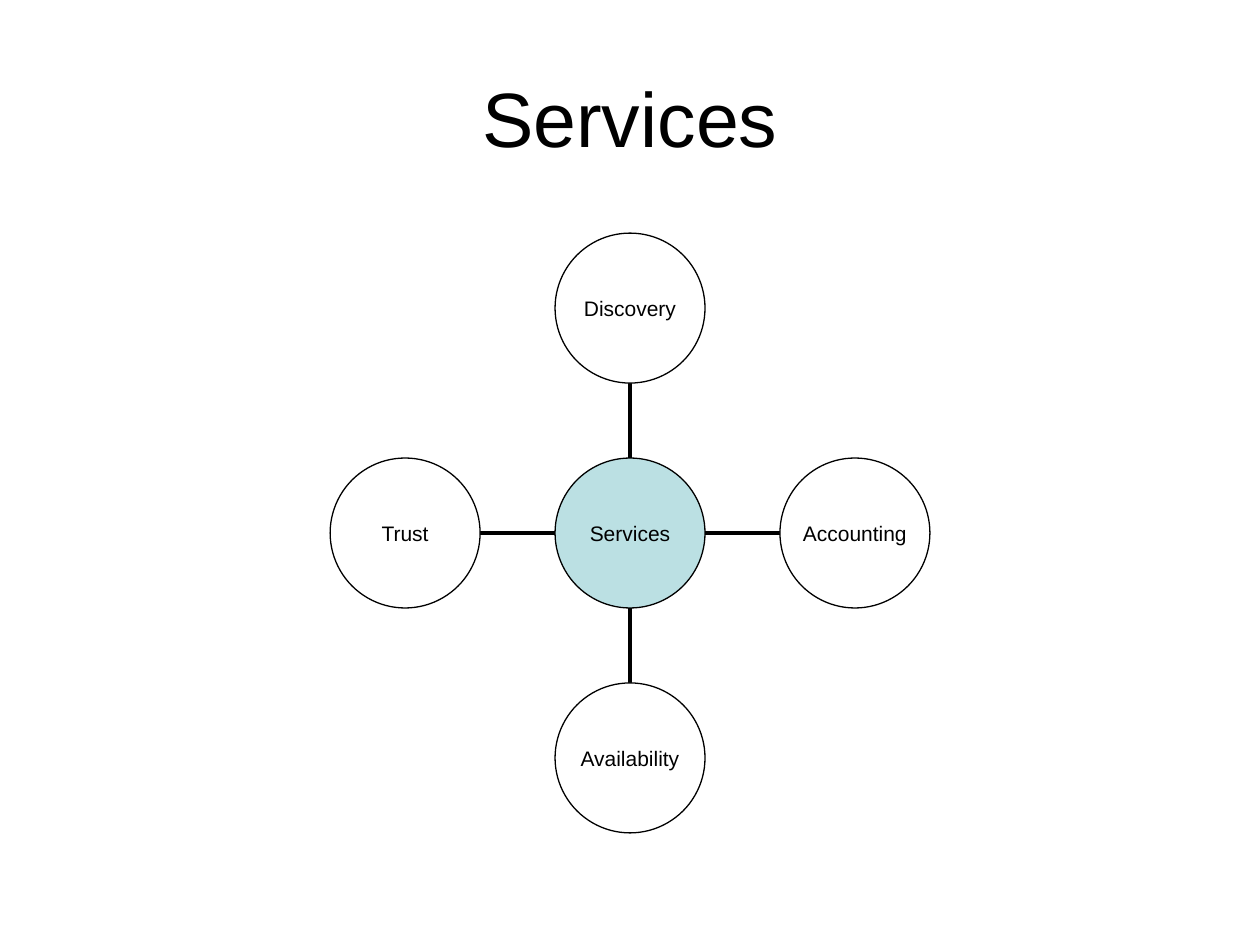
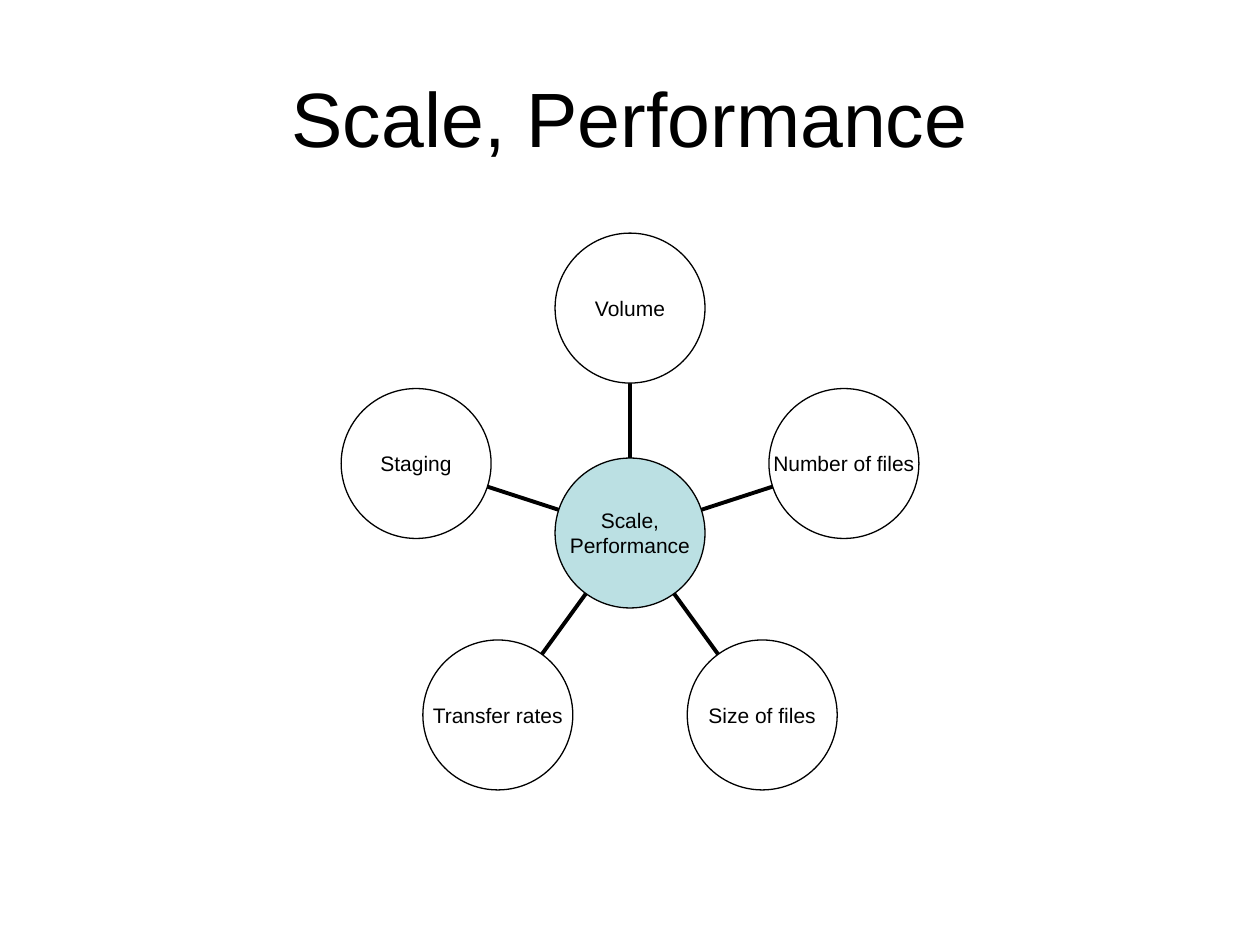
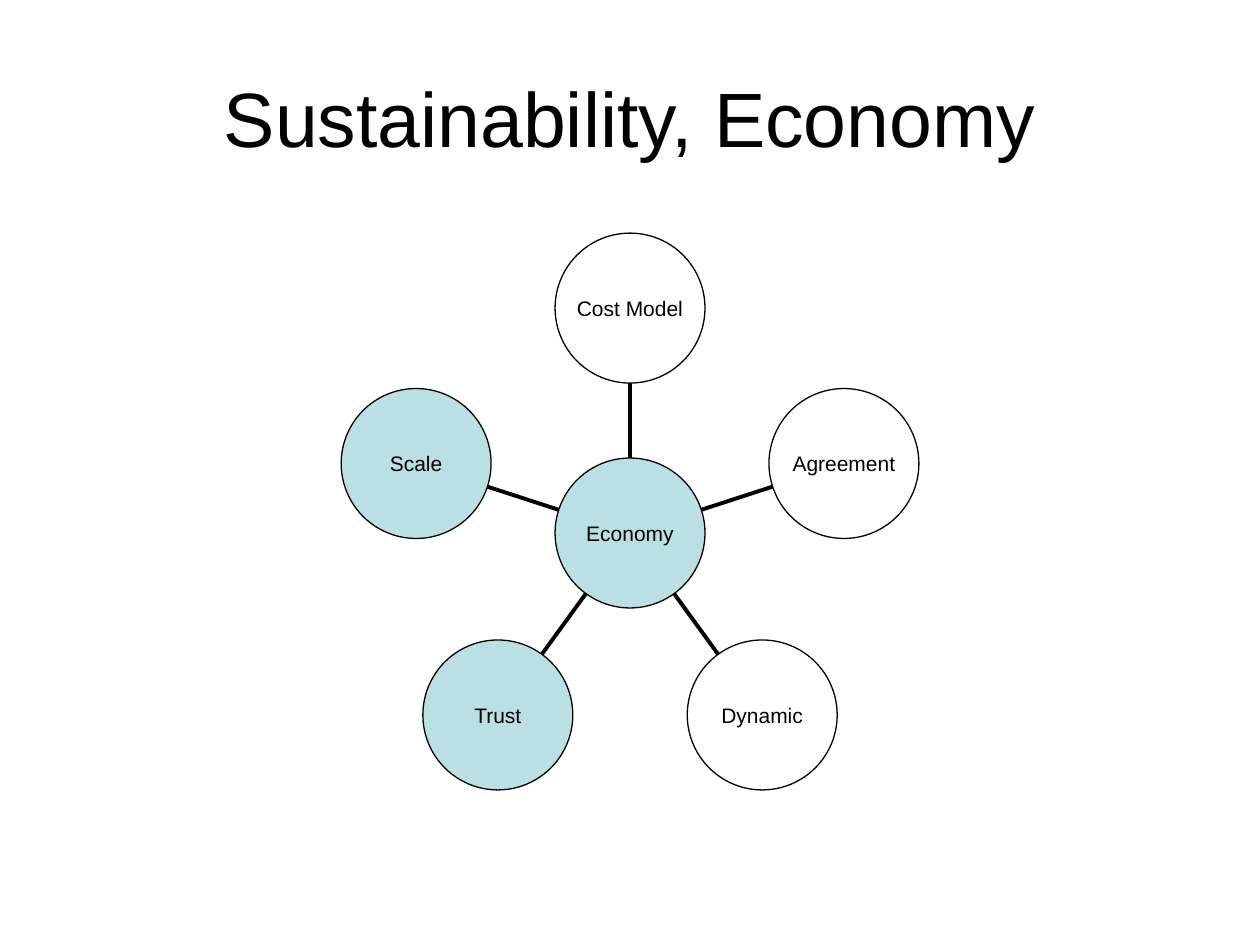
from dataclasses import dataclass
from math import cos, pi, sin

from lxml.etree import SubElement
from pptx import Presentation
from pptx.dml.color import RGBColor
from pptx.enum.shapes import MSO_CONNECTOR as Connector, MSO_SHAPE as Shape
from pptx.enum.text import MSO_ANCHOR as Anchor, MSO_AUTO_SIZE as AutoSize, PP_ALIGN as Align
from pptx.oxml.ns import qn
from pptx.util import Inches, Pt

# Shared look
WIDTH, HEIGHT = Inches(10), Inches(7.5)
BLACK, WHITE, TEAL = "000000", "FFFFFF", "BBE0E3"
FONT = "Arial"
TITLE_FORMAT = {"left": round(WIDTH * 0.05), "top": round(HEIGHT * 0.04),
                "width": round(WIDTH * 0.9), "height": round(Inches(1.25))}
LABEL_FRAME = {"margin_left": 0, "margin_top": 0, "margin_right": 0, "margin_bottom": 0,
               "word_wrap": False, "vertical_anchor": Anchor.MIDDLE}
TITLE_FRAME = {"auto_size": AutoSize.NONE, "word_wrap": True,
               "vertical_anchor": Anchor.MIDDLE}

# Radial geometry: satellites circle the hub at one and a half diameters
HUB_X, HUB_Y = WIDTH / 2, Inches(4.23)
DIAMETER = Inches(1.19)
RADIUS = DIAMETER / 2
ORBIT = DIAMETER * 1.5


@dataclass(frozen=True)
class Node:
    label: str
    fill: str = WHITE


@dataclass(frozen=True)
class Diagram:
    title: str
    hub: Node
    satellites: tuple[Node, ...]  # clockwise from the top


DIAGRAMS = (
    Diagram("Services", Node("Services", TEAL),
            (Node("Discovery"), Node("Accounting"), Node("Availability"), Node("Trust"))),
    Diagram("Scale, Performance", Node("Scale,\nPerformance", TEAL),
            (Node("Volume"), Node("Number of files"), Node("Size of files"),
             Node("Transfer rates"), Node("Staging"))),
    Diagram("Sustainability, Economy", Node("Economy", TEAL),
            (Node("Cost Model"), Node("Agreement"), Node("Dynamic"),
             Node("Trust", TEAL), Node("Scale", TEAL))),
)


def rgb(color: str) -> RGBColor:
    return RGBColor.from_string(color)


def apply(target, values: dict) -> None:
    for name, value in values.items():
        setattr(target, name, value)


def set_line(line, points: float) -> None:
    line.color.rgb = rgb(BLACK)
    line.width = Pt(points)


def write(tf, text: str, size: float, frame: dict) -> None:
    apply(tf, frame)
    tf.text = text
    for p in tf.paragraphs:
        p.alignment = Align.CENTER
        for r in p.runs:
            apply(r.font, {"name": FONT, "size": Pt(size)})
            r.font.color.rgb = rgb(BLACK)


def polar(angle: float, distance: float) -> tuple[int, int]:
    """Point at a distance from the hub, with the angle clockwise from the top."""
    return round(HUB_X + distance * sin(angle)), round(HUB_Y - distance * cos(angle))


def add_node(shapes, node: Node, center: tuple[int, int]) -> None:
    left, top = (round(c - RADIUS) for c in center)
    sp = shapes.add_shape(Shape.OVAL, left, top, DIAMETER, DIAMETER)
    sp.shadow.inherit = False
    sp.fill.solid()
    sp.fill.fore_color.rgb = rgb(node.fill)
    set_line(sp.line, 0.75)
    write(sp.text_frame, node.label, 12, LABEL_FRAME)


def add_spoke(shapes, angle: float) -> None:
    spoke = shapes.add_connector(Connector.STRAIGHT, *polar(angle, RADIUS),
                                 *polar(angle, ORBIT - RADIUS))
    set_line(spoke.line, 2.25)
    SubElement(spoke._element.spPr, qn("a:effectLst"))


def add_diagram(prs, diagram: Diagram) -> None:
    s = prs.slides.add_slide(prs.slide_layouts[5])

    # Title
    apply(s.shapes.title, TITLE_FORMAT)
    write(s.shapes.title.text_frame, diagram.title, 44, TITLE_FRAME)

    # Spokes and satellites, then the hub on top
    shapes = s.shapes.add_group_shape().shapes
    step = 2 * pi / len(diagram.satellites)
    for i, node in reversed(list(enumerate(diagram.satellites))):
        add_spoke(shapes, i * step)
        add_node(shapes, node, polar(i * step, ORBIT))
    add_node(shapes, diagram.hub, polar(0, 0))


def main() -> None:
    prs = Presentation()
    prs.slide_width, prs.slide_height = WIDTH, HEIGHT
    for diagram in DIAGRAMS:
        add_diagram(prs, diagram)
    prs.save("out.pptx")


if __name__ == "__main__":
    main()
